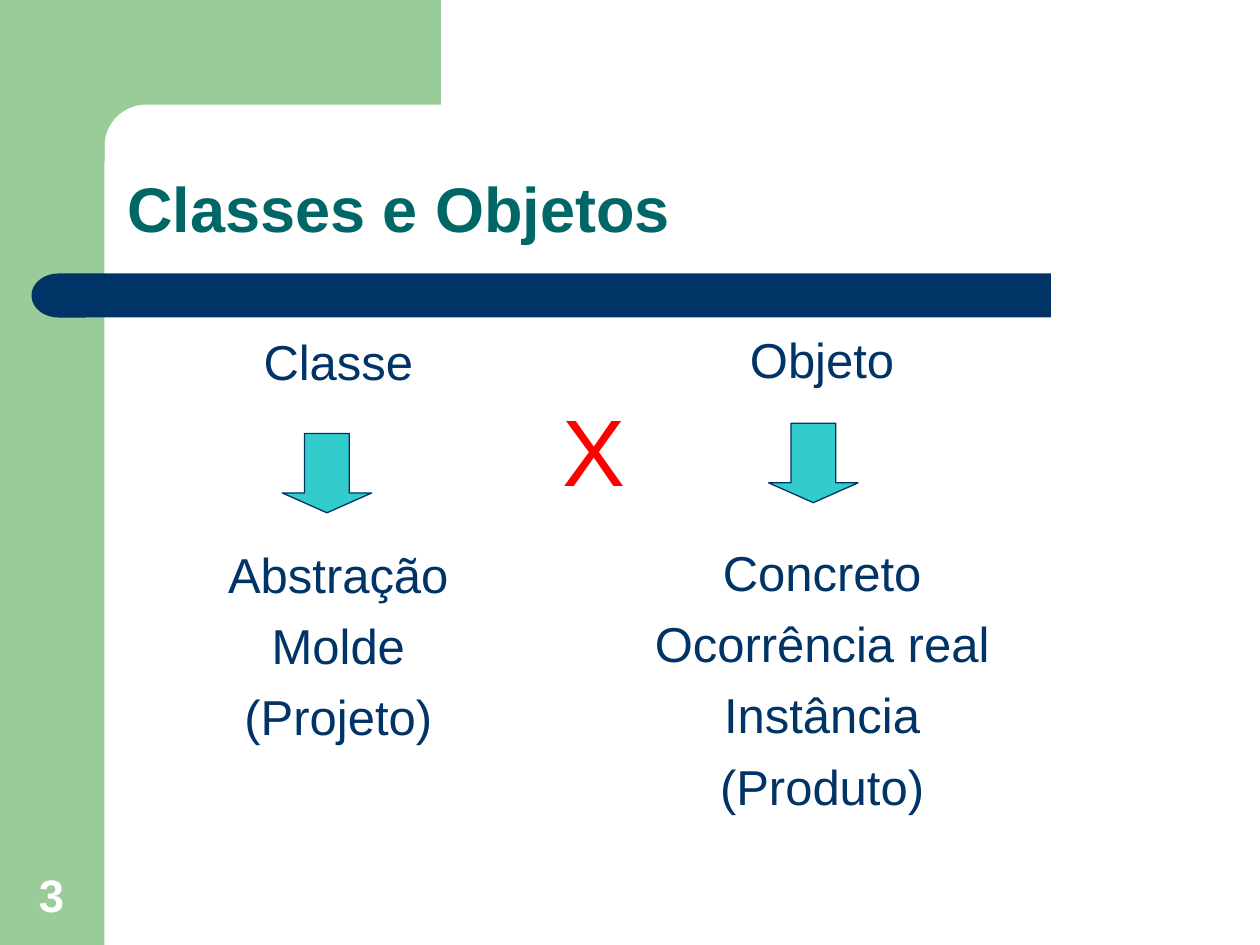
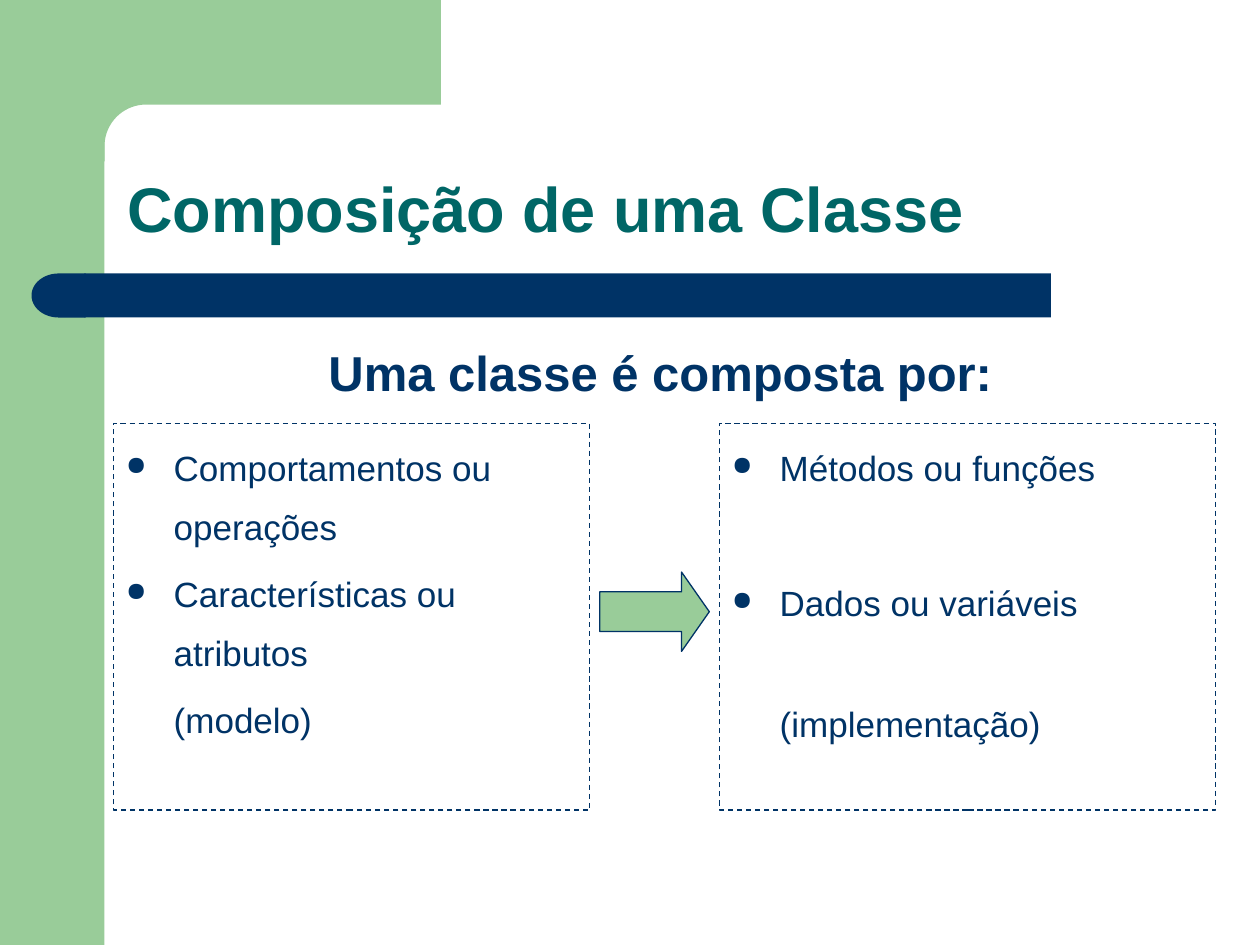
from math import cos, radians, sin

from lxml.etree import SubElement
from pptx import Presentation
from pptx.dml.color import RGBColor
from pptx.enum.dml import MSO_LINE_DASH_STYLE as Dash
from pptx.enum.shapes import MSO_SHAPE as Shape
from pptx.enum.text import MSO_ANCHOR as Anchor, MSO_AUTO_SIZE as AutoSize, PP_ALIGN as Align
from pptx.oxml.ns import qn
from pptx.util import Inches, Pt

GREEN, NAVY, TEAL = "99CC99", "003366", "006666"
CYAN, RED, WHITE = "33CCCC", "FF0000", "FFFFFF"
TITLE_ONLY = 5
HANGING = 0.38  # bullet indent in inches


def color(value):
    return RGBColor.from_string(value)


def inches(*values):
    return [Inches(value) for value in values]


class Deck:
    """Shared style and the slide being built."""

    font = "Arial"

    def __init__(self):
        self.deck = Presentation()
        self.deck.slide_width, self.deck.slide_height = inches(10, 7.5)
        self.page = None

    def add_page(self, title):
        self.page = self.deck.slides.add_slide(self.deck.slide_layouts[TITLE_ONLY])
        self.decorate()
        box = self.page.shapes.title
        box.left, box.top, box.width, box.height = inches(0.91, 0.91, 8.51, 1.09)
        self.frame(box, anchor=Anchor.BOTTOM)
        self.add_span(box.text_frame.paragraphs[0], title, size=36, bold=True,
                      fill=TEAL, alignment=Align.LEFT, line_spacing=0.9)

    def decorate(self):
        # Green side band and its rounded corner
        self.shape(Shape.RECTANGLE, (0, 0, 0.83, 7.5), GREEN)
        center, radius = 1.16, 0.33
        arc = [(center - radius * sin(radians(angle)), center - radius * cos(radians(angle)))
               for angle in range(0, 91, 5)]
        outline = [(3.5, 0), (3.5, 0.83), *arc, (0.83, 1.28), (0.5, 1.28), (0.5, 0)]
        points = [inches(*point) for point in outline]
        builder = self.page.shapes.build_freeform(*points[0])
        builder.add_line_segments(points[1:], close=True)
        self.paint(builder.convert_to_shape(), GREEN)
        # Navy bar with a rounded left end
        self.shape(Shape.RECTANGLE, (0.67, 2.17, 7.67, 0.35), NAVY)
        self.shape(Shape.FLOWCHART_DELAY, (0.25, 2.17, 0.43, 0.35), NAVY).rotation = 180

    def paint(self, box, fill=None, line=None, dash=None):
        box.shadow.inherit = False
        if fill:
            box.fill.solid()
            box.fill.fore_color.rgb = color(fill)
        else:
            box.fill.background()
        if line:
            box.line.color.rgb = color(line)
            box.line.width = Pt(0.75)
            box.line.dash_style = dash
        else:
            box.line.fill.background()
        return box

    def shape(self, kind, place, fill=None, line=None, dash=None, adjust=()):
        box = self.page.shapes.add_shape(kind, *inches(*place))
        for index, value in enumerate(adjust):
            box.adjustments[index] = value
        return self.paint(box, fill, line, dash)

    def frame(self, box, anchor=Anchor.TOP, wrap=True):
        settings = {"word_wrap": wrap, "auto_size": AutoSize.NONE, "vertical_anchor": anchor}
        for name, value in settings.items():
            setattr(box.text_frame, name, value)

    def next_para(self, box, index):
        return box.text_frame.add_paragraph() if index else box.text_frame.paragraphs[0]

    def add_span(self, para, text, size, fill=NAVY, bold=False, **layout):
        for name, value in layout.items():
            setattr(para, name, value)
        span = para.add_run()
        span.text = text
        for name, value in {"name": self.font, "size": Pt(size), "bold": bold}.items():
            setattr(span.font, name, value)
        span.font.color.rgb = color(fill)

    def text(self, place, lines, size, anchor=Anchor.TOP, wrap=True, **style):
        """Lines are (text, space before) pairs."""
        box = self.page.shapes.add_textbox(*inches(*place))
        self.frame(box, anchor, wrap)
        for index, (line, before) in enumerate(lines):
            self.add_span(self.next_para(box, index), line, size,
                          space_before=Pt(before), **style)

    def panel(self, place, items):
        """Dashed panel; items are (text, space before, bulleted)."""
        box = self.shape(Shape.RECTANGLE, place, line=NAVY, dash=Dash.DASH)
        self.frame(box)
        for index, (line, before, bulleted) in enumerate(items):
            para = self.next_para(box, index)
            self.indent(para, bulleted)
            self.add_span(para, line, 20, alignment=Align.LEFT, line_spacing=1.4,
                          space_before=Pt(before))

    def indent(self, para, bulleted):
        props = para._p.get_or_add_pPr()
        props.set("marL", str(Inches(HANGING)))
        props.set("indent", str(-Inches(HANGING) if bulleted else 0))
        if bulleted:
            tint = SubElement(props, qn("a:buClr"))
            SubElement(tint, qn("a:srgbClr")).set("val", NAVY)
            SubElement(props, qn("a:buSzPct")).set("val", "75000")
            SubElement(props, qn("a:buChar")).set("char", "●")


def build_comparison(deck):
    deck.add_page("Classes e Objetos")
    deck.text((0.09, 6.83, 0.64, 0.53), [("3", 0)], 26, anchor=Anchor.BOTTOM,
              fill=WHITE, bold=True, alignment=Align.CENTER)
    # Two columns, each with room for an arrow under its heading
    columns = [
        (0.92, 2.58, 2.24, 3.44, "Classe", ["Abstração", "Molde", "(Projeto)"]),
        (4.76, 2.57, 6.1, 3.36, "Objeto",
         ["Concreto", "Ocorrência real", "Instância", "(Produto)"]),
    ]
    for left, top, arrow_left, arrow_top, heading, traits in columns:
        lines = [(heading, 0), (traits[0], 88)] + [(trait, 7) for trait in traits[1:]]
        deck.text((left, top, 3.53, 4.07), lines, 28, alignment=Align.CENTER)
        deck.shape(Shape.DOWN_ARROW, (arrow_left, arrow_top, 0.71, 0.63), CYAN, NAVY,
                   adjust=(0.5, 0.25))
    deck.text((4.37, 3.06, 0.7, 1), [("X", 0)], 54, wrap=False, fill=RED)


def build_composition(deck):
    deck.add_page("Composição de uma Classe")
    deck.text((0.99, 2.67, 8.5, 0.77), [("Uma classe é composta por:", 0)], 28,
              bold=True, alignment=Align.CENTER)
    # Model on the left, implementation on the right
    deck.panel((0.9, 3.36, 3.78, 3.07), [
        ("Comportamentos ou operações", 0, True),
        ("Características ou atributos", 5, True),
        ("(modelo)", 5, False),
    ])
    deck.panel((5.71, 3.36, 3.94, 3.07), [
        ("Métodos ou funções", 0, True),
        ("Dados ou variáveis", 43.5, True),
        ("(implementação)", 35.5, False),
    ])
    deck.shape(Shape.RIGHT_ARROW, (4.76, 4.54, 0.87, 0.63), GREEN, NAVY, adjust=(0.5, 0.35))


def main():
    deck = Deck()
    build_comparison(deck)
    build_composition(deck)
    deck.deck.save("out.pptx")


if __name__ == "__main__":
    main()
